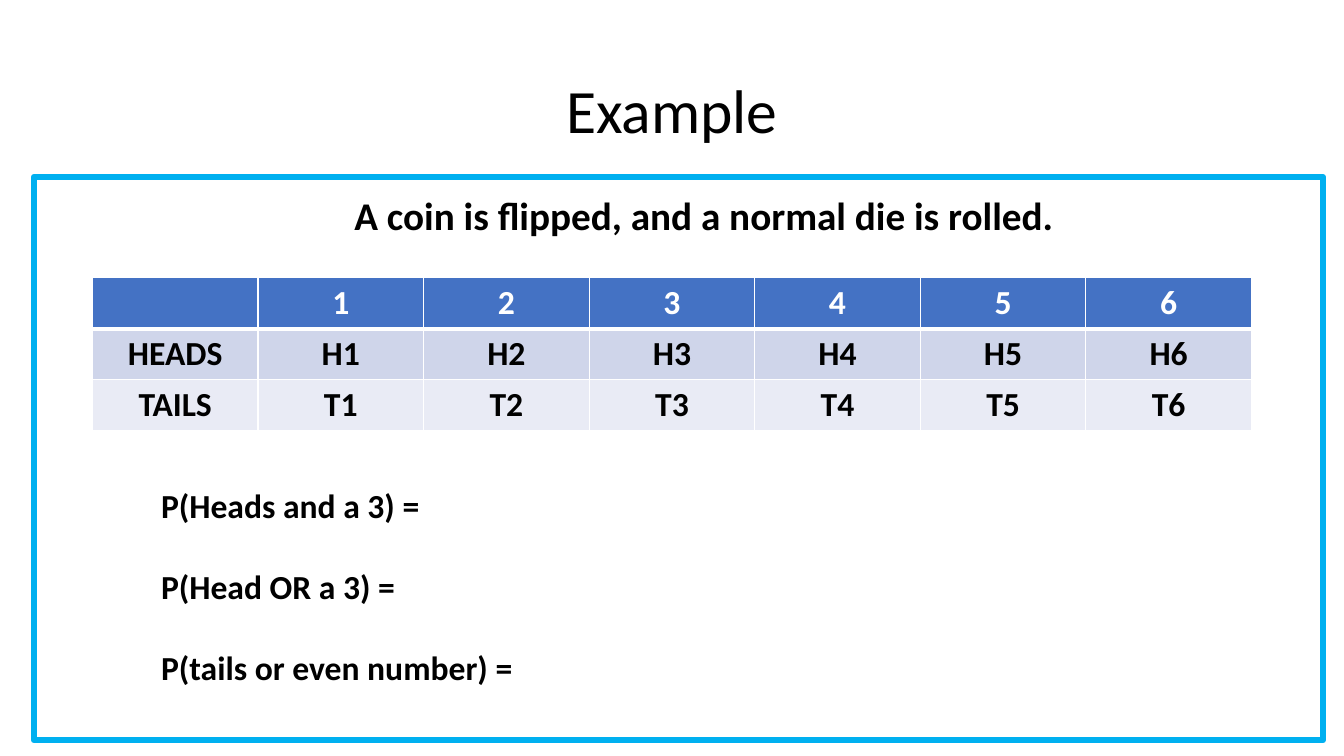
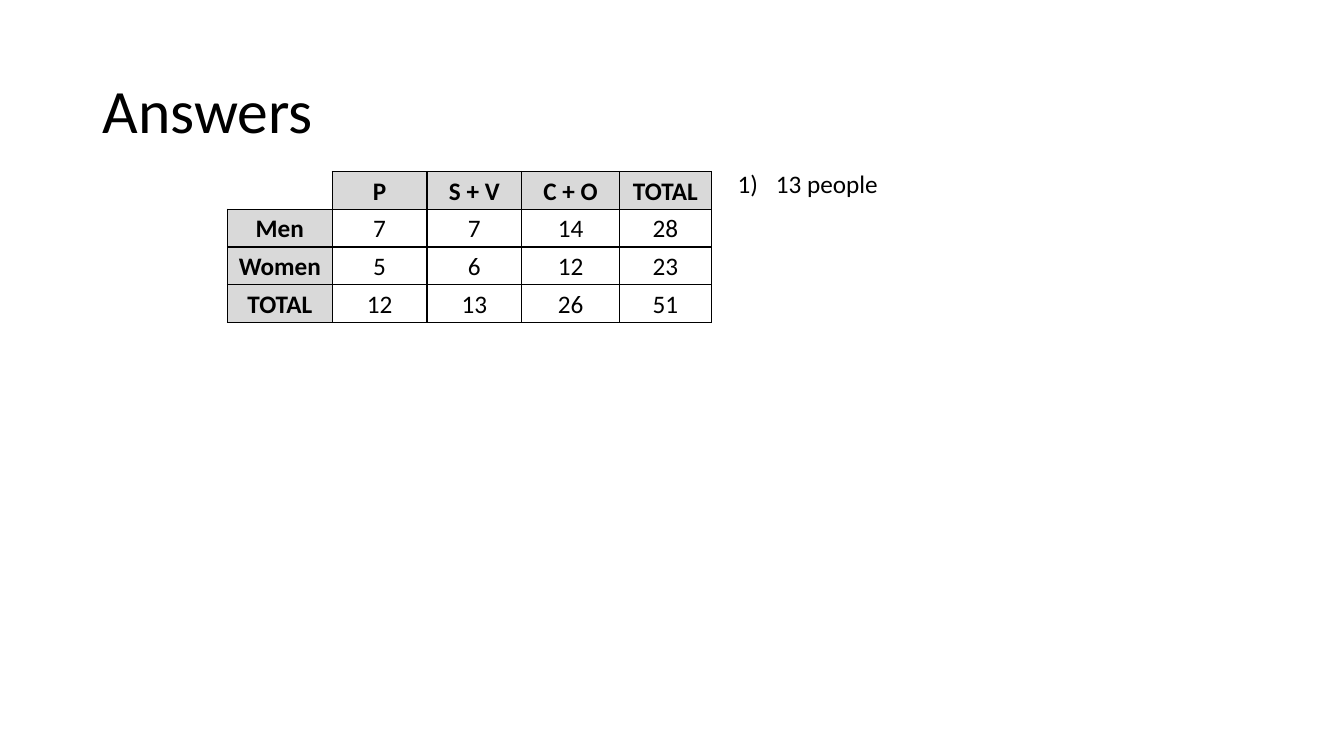
from lxml import etree
from pptx import Presentation
from pptx.dml.color import RGBColor
from pptx.enum.shapes import MSO_SHAPE
from pptx.enum.text import MSO_ANCHOR, MSO_AUTO_SIZE, PP_ALIGN
from pptx.oxml.ns import qn
from pptx.util import Inches, Pt

RECT = MSO_SHAPE.RECTANGLE
MIDDLE = MSO_ANCHOR.MIDDLE
FIXED = MSO_AUTO_SIZE.NONE
LEFT, CENTER = PP_ALIGN.LEFT, PP_ALIGN.CENTER

FONT = "Calibri"
BLACK, WHITE = "000000", "FFFFFF"
BLUE, SKY = "4472C4", "00B0F0"
BANDS = ["CFD5EA", "E9EBF5"]
GRAY = "D9D9D9"


def color(code):
    return RGBColor.from_string(code)


def part(box, left, top, width, height):
    x, y, w, h = box
    return (int(x + w * left / 100), int(y + h * top / 100),
            int(w * width / 100), int(h * height / 100))


def style(para, size, bold=False, ink=BLACK, align=LEFT):
    para.alignment = align
    for run in para.runs:
        font = run.font
        font.name, font.size, font.bold = FONT, Pt(size), bold
        font.color.rgb = color(ink)


def title(slide, page, text, align):
    head = slide.shapes.title
    head.left, head.top, head.width, head.height = part(page, 6.88, 5.32, 86.25, 19.33)
    frame = head.text_frame
    frame.text = text
    frame.auto_size, frame.vertical_anchor = FIXED, MIDDLE
    style(frame.paragraphs[0], 44, align=align)
    frame.paragraphs[0].line_spacing = 0.9


def note(slide, box, lines, size, bold=False, gap=0):
    frame = slide.shapes.add_textbox(*box).text_frame
    frame.word_wrap = True
    frame.text = "\n".join(lines)
    for i, para in enumerate(frame.paragraphs):
        style(para, size, bold)
        para.space_before = Pt(gap if i else 0)
    return frame


def border(cell, ink, sides):
    props = cell._tc.get_or_add_tcPr()
    for side in "LRTB":
        if side in sides:
            line = etree.SubElement(props, qn("a:ln" + side), w=str(Pt(sides[side])))
            fill = etree.SubElement(line, qn("a:solidFill"))
            etree.SubElement(fill, qn("a:srgbClr"), val=ink)


def grid(slide, box, rows, shares, paint):
    table = slide.shapes.add_table(len(rows), len(shares), *box).table
    table.first_row = table.horz_banding = False
    for col, share in zip(table.columns, shares):
        col.width = int(box[2] * share / sum(shares))
    for r, row in enumerate(rows):
        table.rows[r].height = int(box[3] / len(rows))
        for c, text in enumerate(row):
            cell = table.cell(r, c)
            cell.text_frame.text = text
            paint(cell, r, c)


def shade(cell, code):
    if code:
        cell.fill.solid()
        cell.fill.fore_color.rgb = color(code)
    else:
        cell.fill.background()


def paint_coin(cell, row, col):
    border(cell, WHITE, {"L": 1, "R": 1, "T": 3 if row == 1 else 1, "B": 1 if row else 3})
    shade(cell, BANDS[row - 1] if row else BLUE)
    style(cell.text_frame.paragraphs[0], 24, True, BLACK if row else WHITE, CENTER)


def paint_count(cell, row, col):
    corner = row == col == 0
    label = row == 0 or col == 0
    border(cell, BLACK, dict.fromkeys("RB" if corner else "LRTB", 1))
    shade(cell, GRAY if label and not corner else None)
    cell.margin_left = cell.margin_right = Inches(0.07)
    cell.margin_top = cell.margin_bottom = 0
    para = cell.text_frame.paragraphs[0]
    style(para, 18, label, align=CENTER)
    para.line_spacing, para.space_after = 1.15, Pt(10)


def example(slide, page):
    title(slide, page, "Example", CENTER)
    faces = "123456"
    rows = [["", *faces]]
    rows += [[side] + [side[0] + face for face in faces] for side in ("HEADS", "TAILS")]
    grid(slide, part(page, 6.88, 36.72, 86.25, 20), rows, [1] * 7, paint_coin)
    note(slide, part(page, 25.63, 24.65, 66.22, 7.63),
         ["A coin is flipped, and a normal die is rolled."], 28, True)
    note(slide, part(page, 11.25, 63.49, 61.8, 28.24),
         ["P(Heads and a 3) =", "P(Head OR a 3) =", "P(tails or even number) ="],
         24, True, 29)
    frame = slide.shapes.add_shape(RECT, *part(page, 2.53, 23.42, 95.9, 74.5))
    frame.shadow.inherit = False
    frame.fill.background()
    frame.line.color.rgb = color(SKY)
    frame.line.width = Pt(4.5)


def answers(slide, page):
    title(slide, page, "Answers", LEFT)
    rows = [["", "P", "S + V", "C + O", "TOTAL"],
            ["Men", "7", "7", "14", "28"],
            ["Women", "5", "6", "12", "23"],
            ["TOTAL", "12", "13", "26", "51"]]
    grid(slide, part(page, 16.92, 22.67, 36, 20), rows,
         [1.04, 0.94, 0.94, 0.97, 0.91], paint_count)
    frame = note(slide, part(page, 54.15, 21.6, 32.47, 9.47), ["13 people"], 18)
    props = frame.paragraphs[0]._p.get_or_add_pPr()
    indent = Inches(0.38)
    props.set("marL", str(indent))
    props.set("indent", str(-indent))
    etree.SubElement(props, qn("a:buAutoNum"), type="arabicParenR")


def main():
    deck = Presentation()
    deck.slide_width, deck.slide_height = Inches(13.33), Inches(7.5)
    page = (0, 0, deck.slide_width, deck.slide_height)
    for build in (example, answers):
        build(deck.slides.add_slide(deck.slide_layouts[5]), page)
    deck.save("out.pptx")


if __name__ == "__main__":
    main()
